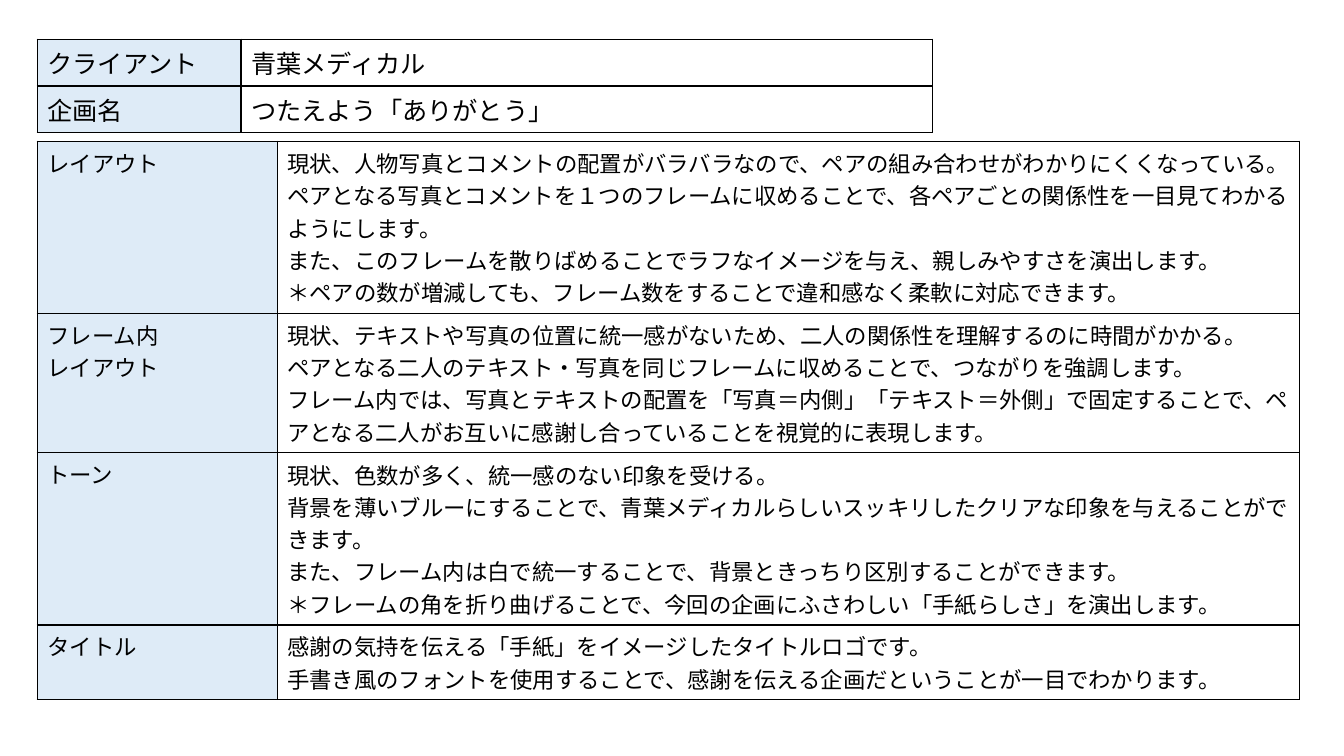
"""Build a design proposal slide with a project table and a rationale table."""
from dataclasses import dataclass

from lxml import etree
from pptx import Presentation
from pptx.dml.color import RGBColor
from pptx.enum.text import MSO_ANCHOR
from pptx.oxml.ns import qn
from pptx.util import Inches, Pt

TOP = MSO_ANCHOR.TOP
MIDDLE = MSO_ANCHOR.MIDDLE
BLANK_LAYOUT = 6


@dataclass(frozen=True)
class Theme:
    """Colours, font and type sizes of the slide."""
    font: str = "Noto Sans CJK JP"
    ink: str = "000000"
    label_fill: str = "DEEBF7"
    text_fill: str = "FFFFFF"
    project_size: int = 18
    rationale_size: int = 16
    border_width: int = 1


THEME = Theme()

PROJECT = [
    ("クライアント", "青葉メディカル"),
    ("企画名", "つたえよう「ありがとう」"),
]

RATIONALE = [
    ("レイアウト",
     "現状、人物写真とコメントの配置がバラバラなので、ペアの組み合わせがわかりにくくなっている。\n"
     "ペアとなる写真とコメントを１つのフレームに収めることで、各ペアごとの関係性を一目見てわかるようにします。\n"
     "また、このフレームを散りばめることでラフなイメージを与え、親しみやすさを演出します。\n"
     "＊ペアの数が増減しても、フレーム数をすることで違和感なく柔軟に対応できます。"),
    ("フレーム内\nレイアウト",
     "現状、テキストや写真の位置に統一感がないため、二人の関係性を理解するのに時間がかかる。\n"
     "ペアとなる二人のテキスト・写真を同じフレームに収めることで、つながりを強調します。\n"
     "フレーム内では、写真とテキストの配置を「写真＝内側」「テキスト＝外側」で固定することで、"
     "ペアとなる二人がお互いに感謝し合っていることを視覚的に表現します。"),
    ("トーン",
     "現状、色数が多く、統一感のない印象を受ける。\n"
     "背景を薄いブルーにすることで、青葉メディカルらしいスッキリしたクリアな印象を与えることができます。\n"
     "また、フレーム内は白で統一することで、背景ときっちり区別することができます。\n"
     "＊フレームの角を折り曲げることで、今回の企画にふさわしい「手紙らしさ」を演出します。"),
    ("タイトル",
     "感謝の気持を伝える「手紙」をイメージしたタイトルロゴです。\n"
     "手書き風のフォントを使用することで、感謝を伝える企画だということが一目でわかります。"),
]


def add_borders(cell):
    """Draw a solid line on all four sides of a cell."""
    properties = cell._tc.get_or_add_tcPr()
    for side in ("a:lnL", "a:lnR", "a:lnT", "a:lnB"):
        line = etree.SubElement(properties, qn(side), w=str(Pt(THEME.border_width)))
        fill = etree.SubElement(line, qn("a:solidFill"))
        etree.SubElement(fill, qn("a:srgbClr"), val=THEME.ink)


def format_run(run, size):
    """Set the Latin and East Asian font, size and colour of a run."""
    run.font.name = THEME.font
    run.font.size = Pt(size)
    run.font.color.rgb = RGBColor.from_string(THEME.ink)
    etree.SubElement(run._r.get_or_add_rPr(), qn("a:ea"), typeface=THEME.font)


def fill_cell(cell, text, size, fill, anchor):
    """Write and format one table cell."""
    add_borders(cell)
    cell.fill.solid()
    cell.fill.fore_color.rgb = RGBColor.from_string(fill)
    cell.vertical_anchor = anchor
    cell.text_frame.text = text
    for paragraph in cell.text_frame.paragraphs:
        for run in paragraph.runs:
            format_run(run, size)


def add_label_table(slide, entries, top, widths, heights, size, text_anchor):
    """Add a two-column table with shaded labels on the left."""
    shape = slide.shapes.add_table(
        len(entries), len(widths), Inches(0.37), Inches(top),
        Inches(sum(widths)), Inches(sum(heights)))
    table = shape.table
    for column, width in zip(table.columns, widths):
        column.width = Inches(width)
    for row, height, (label, text) in zip(table.rows, heights, entries):
        row.height = Inches(height)
        label_cell, text_cell = row.cells
        fill_cell(label_cell, label, size, THEME.label_fill, TOP)
        fill_cell(text_cell, text, size, THEME.text_fill, text_anchor)


def main():
    """Create the slide and save it."""
    presentation = Presentation()
    presentation.slide_width = Inches(13.33)
    presentation.slide_height = Inches(7.5)
    slide = presentation.slides.add_slide(presentation.slide_layouts[BLANK_LAYOUT])
    add_label_table(slide, PROJECT, 0.39, (2.02, 6.86), (0.46, 0.46),
                    THEME.project_size, TOP)
    add_label_table(slide, RATIONALE, 1.4, (2.38, 10.14), (1.71, 1.38, 1.71, 0.74),
                    THEME.rationale_size, MIDDLE)
    presentation.save("out.pptx")


if __name__ == "__main__":
    main()
